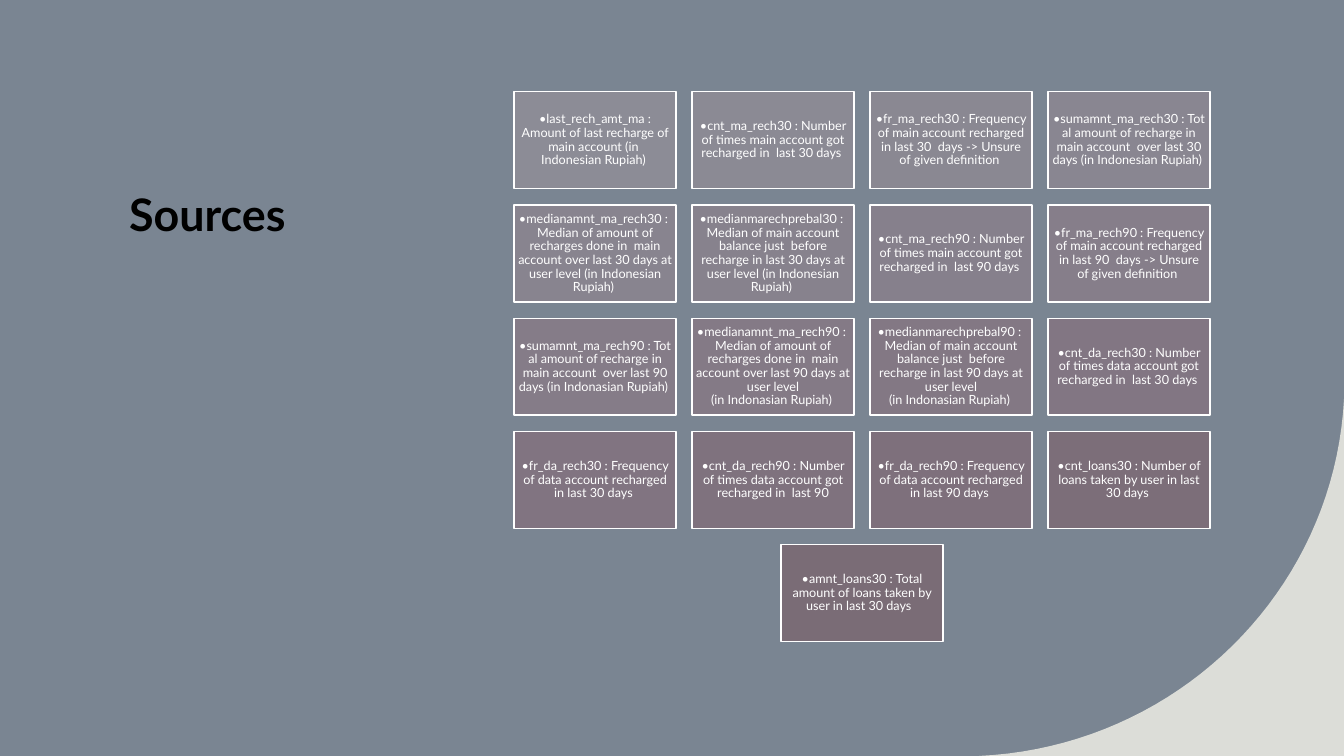
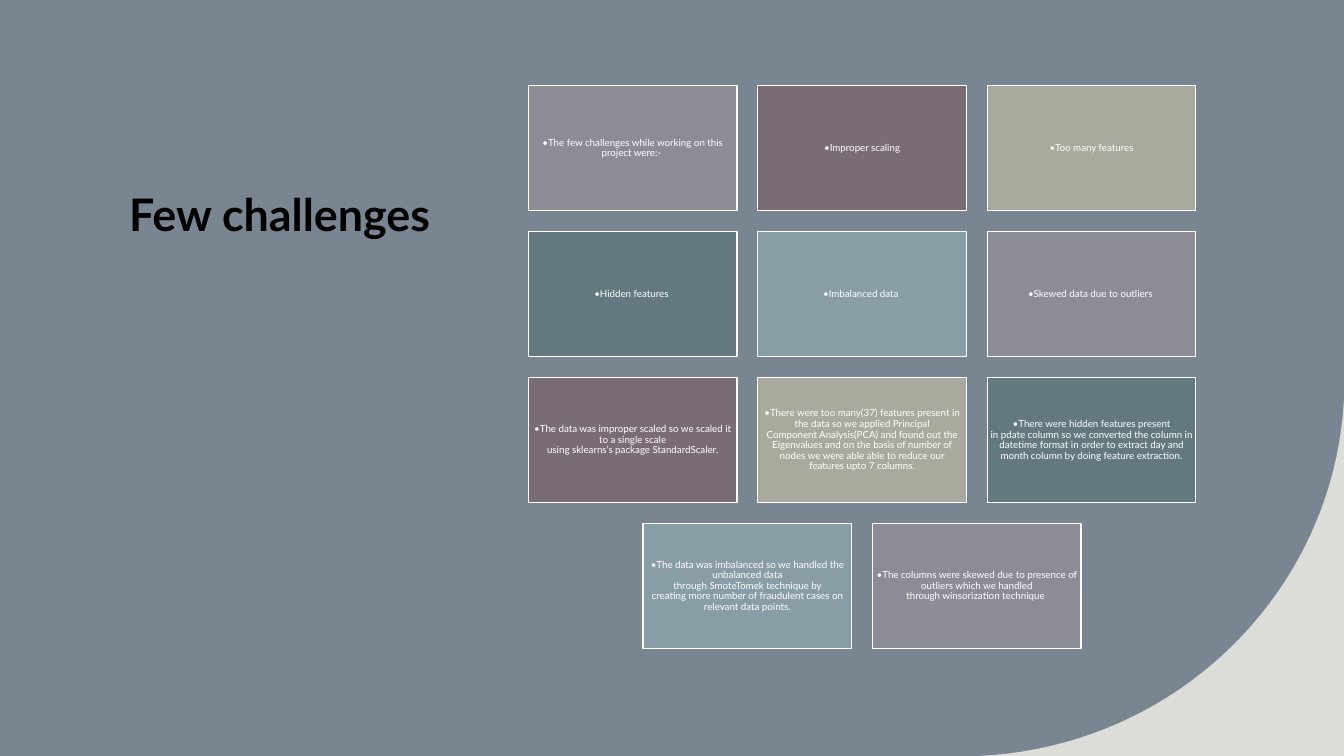
from itertools import cycle

from pptx import Presentation
from pptx.dml.color import RGBColor
from pptx.enum.shapes import MSO_SHAPE
from pptx.enum.text import MSO_ANCHOR, MSO_AUTO_SIZE, PP_ALIGN
from pptx.util import Inches, Pt

SLATE = RGBColor(0x7A, 0x85, 0x92)
STONE = RGBColor(0xDC, 0xDD, 0xD8)
BLACK = RGBColor(0x00, 0x00, 0x00)
WHITE = RGBColor(0xFF, 0xFF, 0xFF)
LILAC = RGBColor(0x8C, 0x8C, 0x96)
MAUVE = RGBColor(0x81, 0x74, 0x81)
PLUM = RGBColor(0x7A, 0x6C, 0x76)
SAGE = RGBColor(0xA7, 0xAA, 0x9D)
TEAL = RGBColor(0x63, 0x78, 0x7F)
MIST = RGBColor(0x88, 0x9D, 0xA5)

FONT = "Lato"
TIE = "~"
HARD = chr(160)
PAGE_BOX = (0, 0, 13.33, 7.5)
TITLE_BOX = (1.18, 1.75, 3.28, 3.89)
CURVE_BOX = (9.63, 3.78, 3.7, 3.72)
CURVE = ((0.08, 3.72), (2.04, 3.63), (3.6, 2.09), (3.7, 0.18))
STEPS = 40

TITLE_FRAME = {
    "word_wrap": True,
    "auto_size": MSO_AUTO_SIZE.NONE,
    "vertical_anchor": MSO_ANCHOR.TOP,
}
TITLE_PARA = {"alignment": PP_ALIGN.LEFT, "line_spacing": 1.1}
TITLE_FONT = {"name": FONT, "size": Pt(32), "bold": True}

SOURCES = [
    "last_rech_amt_ma~: Amount of last recharge of main account (in~ Indonesian Rupiah)~",
    "cnt_ma_rech30 :~Number of times main account got recharged in~ last 30 days~",
    "fr_ma_rech30 :~Frequency of main account recharged in last 30~ days -> Unsure of given definition~",
    "sumamnt_ma_rech30 :~Total amount of recharge in main account~ over last 30 days (in Indonesian Rupiah)~",
    "medianamnt_ma_rech30 :~Median of~amount~of recharges done in~ main account over last 30 days at user level (in Indonesian Rupiah)~",
    "medianmarechprebal30 :~Median of main account balance just~ before recharge in last 30 days at user level (in Indonesian Rupiah)~",
    "cnt_ma_rech90 :~Number of times main account got recharged in~ last 90 days~",
    "fr_ma_rech90 :~Frequency of main account recharged in last 90~ days -> Unsure of given definition~",
    "sumamnt_ma_rech90 :~Total amount of recharge in main account~ over last 90 days (in~Indonasian~Rupiah)~",
    "medianamnt_ma_rech90 :~Median of~amount~of recharges done in~ main account over last 90 days at user level (in~Indonasian~Rupiah)~",
    "medianmarechprebal90 :~Median of main account balance just~ before recharge in last 90 days at user level (in~Indonasian~Rupiah)~",
    "cnt_da_rech30 :~Number of times data account got recharged in~ last 30 days~",
    "fr_da_rech30 :~Frequency of data account recharged in last 30 days~",
    "cnt_da_rech90 :~Number of times data account got recharged in~ last 90",
    "fr_da_rech90 :~Frequency of data account recharged in last 90 days~",
    "cnt_loans30 :~Number of loans taken by user in last 30 days~",
    "amnt_loans30 :~Total amount of loans taken by user in last 30 days~~",
]

ISSUES = [
    "The few challenges while working on this project~were:-~",
    "Improper scaling",
    "Too many features",
    "Hidden features~",
    "Imbalanced data~",
    "Skewed data due to outliers~",
    "The data was improper scaled so we scaled it to a single scale using~sklearns’s~package~StandardScaler.",
    "There were too~many(37) features present in the data so we applied Principal Component~Analysis(PCA) and found out the Eigenvalues and on the basis of number of nodes we were able~able~to reduce our features~upto~7 columns.",
    "There were hidden features present in~pdate~column so we converted the column in datetime format in order to extract day and month column by doing feature extraction.",
    "The data was imbalanced so we handled the unbalanced data through~SmoteTomek~technique by creating~more~number of fraudulent cases on relevant data points.",
    "The columns were skewed due to presence of outliers which we handled through~winsorization~technique~",
]


def apply(item, values):
    for name, value in values.items():
        setattr(item, name, value)


def place(box):
    return [Inches(side) for side in box]


def blend(start, end, count):
    return [
        RGBColor(*(round(a + (b - a) * step / count) for a, b in zip(start, end)))
        for step in range(count)
    ]


def paint(shape, color):
    shape.shadow.inherit = False
    shape.fill.solid()
    shape.fill.fore_color.rgb = color


def add_back(slide, box):
    back = slide.shapes.add_shape(MSO_SHAPE.RECTANGLE, *place(box))
    paint(back, SLATE)
    back.line.fill.background()
    slide.shapes.title.element.addprevious(back.element)


def add_title(slide, text, box):
    title = slide.shapes.title
    apply(title, dict(zip(("left", "top", "width", "height"), place(box))))
    frame = title.text_frame
    frame.text = text
    apply(frame, TITLE_FRAME)
    para = frame.paragraphs[0]
    apply(para, TITLE_PARA)
    font = para.runs[0].font
    apply(font, TITLE_FONT)
    font.color.rgb = BLACK


def add_curve(slide, box):
    left, top, width, height = box
    points = []
    for step in range(STEPS + 1):
        t = step / STEPS
        parts = ((1 - t) ** 3, 3 * t * (1 - t) ** 2, 3 * t * t * (1 - t), t ** 3)
        x, y = (sum(p * c for p, c in zip(parts, axis)) for axis in zip(*CURVE))
        points.append((Inches(left + x), Inches(top + y)))
    points.append((Inches(left + width), Inches(top + height)))
    pen = slide.shapes.build_freeform(*points[0])
    pen.add_line_segments(points[1:], close=True)
    shape = pen.convert_to_shape()
    paint(shape, STONE)
    shape.line.fill.background()


def add_tile(slide, text, box, color, style):
    tile = slide.shapes.add_shape(MSO_SHAPE.RECTANGLE, *place(box))
    paint(tile, color)
    tile.line.color.rgb = WHITE
    tile.line.width = Pt(1)
    frame = tile.text_frame
    frame.text = "•" + text.replace(TIE, HARD)
    sides = ("margin_left", "margin_top", "margin_right", "margin_bottom")
    apply(frame, dict.fromkeys(sides, Inches(style["inset"])))
    apply(frame, {"word_wrap": True, "vertical_anchor": MSO_ANCHOR.MIDDLE})
    para = frame.paragraphs[0]
    apply(para, {
        "alignment": PP_ALIGN.CENTER,
        "line_spacing": 0.9,
        "space_after": Pt(style["after"]),
    })
    font = para.runs[0].font
    apply(font, {"name": FONT, "size": Pt(style["size"])})
    font.color.rgb = WHITE


def add_grid(slide, texts, colors, style):
    left, top, width = style["box"]
    cols = style["cols"]
    wide = width / (cols + 0.1 * (cols - 1))
    high, gap = 0.6 * wide, 0.1 * wide
    for index, (text, color) in enumerate(zip(texts, colors)):
        row, col = divmod(index, cols)
        count = min(cols, len(texts) - row * cols)
        shift = (cols - count) * (wide + gap) / 2
        x = left + shift + col * (wide + gap)
        y = top + row * (high + gap)
        add_tile(slide, text, (x, y, wide, high), color, style)


def add_page(deck, title, texts, colors, style):
    slide = deck.slides.add_slide(deck.slide_layouts[5])
    add_back(slide, PAGE_BOX)
    add_title(slide, title, TITLE_BOX)
    add_curve(slide, CURVE_BOX)
    add_grid(slide, texts, colors, style)


def main():
    deck = Presentation()
    apply(deck, {"slide_width": Inches(13.33), "slide_height": Inches(7.5)})
    fade = blend(LILAC, MAUVE, 12) + blend(MAUVE, PLUM, 4) + [PLUM]
    small = {"box": (5.1, 0.91, 6.9), "cols": 4, "size": 9, "inset": 0.04, "after": 4}
    large = {"box": (5.24, 0.85, 6.62), "cols": 3, "size": 7, "inset": 0.03, "after": 3}
    add_page(deck, "Sources", SOURCES, fade, small)
    add_page(deck, "Few challenges", ISSUES, cycle((LILAC, PLUM, SAGE, TEAL, MIST)), large)
    deck.save("out.pptx")


if __name__ == "__main__":
    main()
